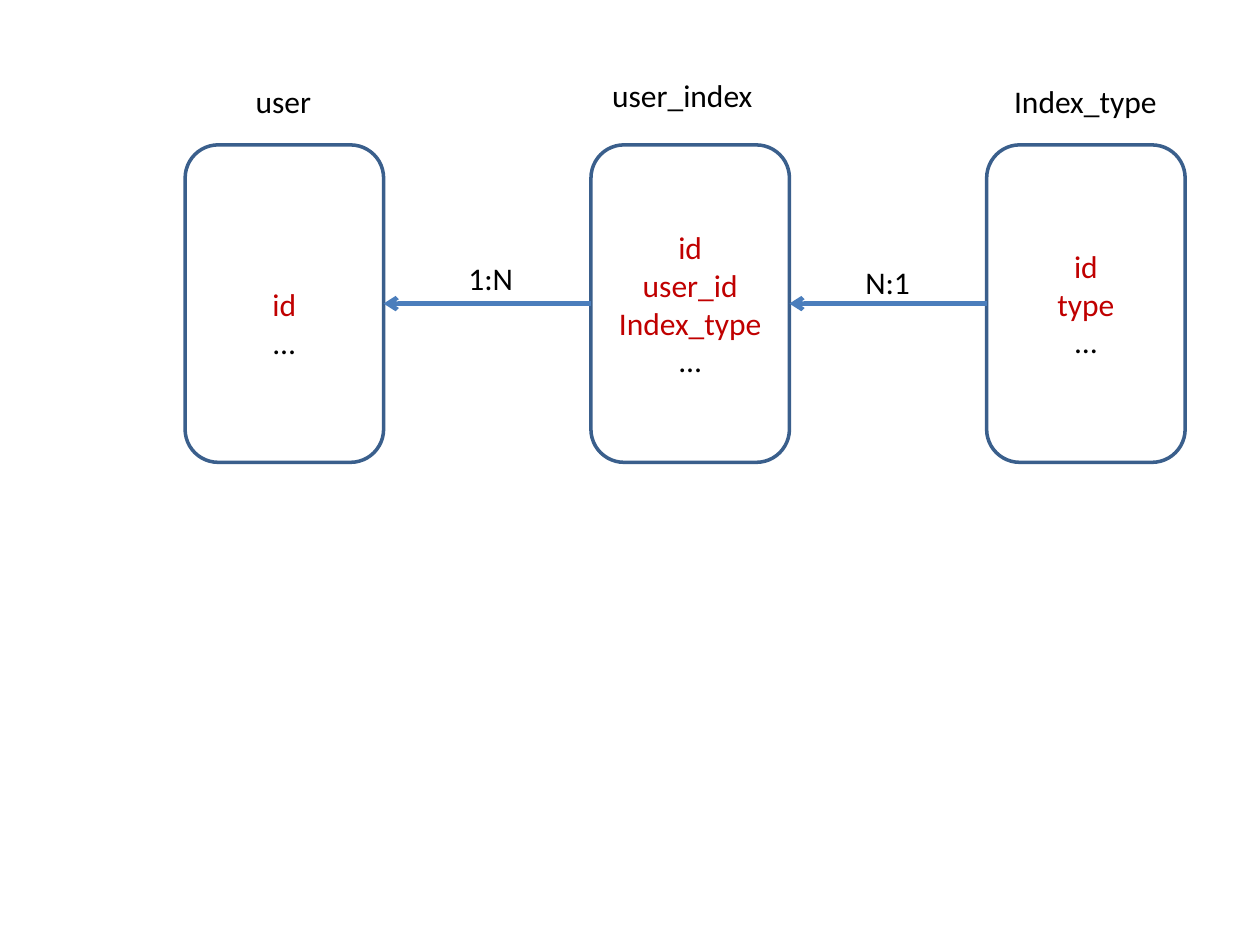
"""Build a slide showing three linked database tables."""
from lxml import etree
from pptx import Presentation
from pptx.dml.color import RGBColor
from pptx.enum.shapes import MSO_CONNECTOR, MSO_SHAPE
from pptx.enum.text import MSO_ANCHOR, MSO_AUTO_SIZE, PP_ALIGN
from pptx.oxml.ns import qn
from pptx.util import Pt


def color(value):
    return RGBColor.from_string(value)


def write(shape, lines, alignment):
    text_frame = shape.text_frame
    text_frame.text = "\n".join(lines)
    for paragraph in text_frame.paragraphs:
        paragraph.alignment = alignment
        font = paragraph.runs[0].font
        font.name = "Calibri"
        font.size = Pt(18)
        is_field = shape in boxes and paragraph.text != "…"
        font.color.rgb = color("C00000" if is_field else "000000")


presentation = Presentation()
presentation.slide_width = Pt(720)
presentation.slide_height = Pt(540)
slide = presentation.slides.add_slide(presentation.slide_layouts[6])

tables = [
    (105.8, 25.6, ["id", "…"]),
    (337.7, 3.6, ["id", "user_id", "Index_type", "…"]),
    (563.8, 3.6, ["id", "type", "…"]),
]
boxes = []
for left, margin_top, fields in tables:
    box = slide.shapes.add_shape(
        MSO_SHAPE.ROUNDED_RECTANGLE, Pt(left), Pt(82.8), Pt(113.4), Pt(181.4)
    )
    box.shadow.inherit = False
    box.fill.solid()
    box.fill.fore_color.rgb = color("FFFFFF")
    box.line.color.rgb = color("3A5F8C")
    box.line.width = Pt(2)
    box.text_frame.vertical_anchor = MSO_ANCHOR.MIDDLE
    box.text_frame.margin_top = Pt(margin_top)
    boxes.append(box)
    write(box, fields, PP_ALIGN.CENTER)

for target, source in zip(boxes, boxes[1:]):
    arrow = slide.shapes.add_connector(MSO_CONNECTOR.STRAIGHT, 0, 0, 0, 0)
    arrow.begin_connect(source, 1)
    arrow.end_connect(target, 3)
    arrow.line.color.rgb = color("4B7EBC")
    arrow.line.width = Pt(2.5)
    etree.SubElement(arrow.line._get_or_add_ln(), qn("a:tailEnd"), type="arrow")
    etree.SubElement(arrow._element.spPr, qn("a:effectLst"))

labels = [
    ("user", 139, 43.2, 46.8),
    ("user_index", 342.7, 39.6, 95.8),
    ("Index_type", 572.4, 43.2, 97.2),
    ("1:N", 260.6, 144.7, 40.3),
    ("N:1", 487.4, 146.9, 40.3),
]
for text, left, top, width in labels:
    label = slide.shapes.add_textbox(Pt(left), Pt(top), Pt(width), Pt(29))
    label.text_frame.word_wrap = False
    label.text_frame.auto_size = MSO_AUTO_SIZE.SHAPE_TO_FIT_TEXT
    write(label, [text], PP_ALIGN.LEFT)

presentation.save("out.pptx")
